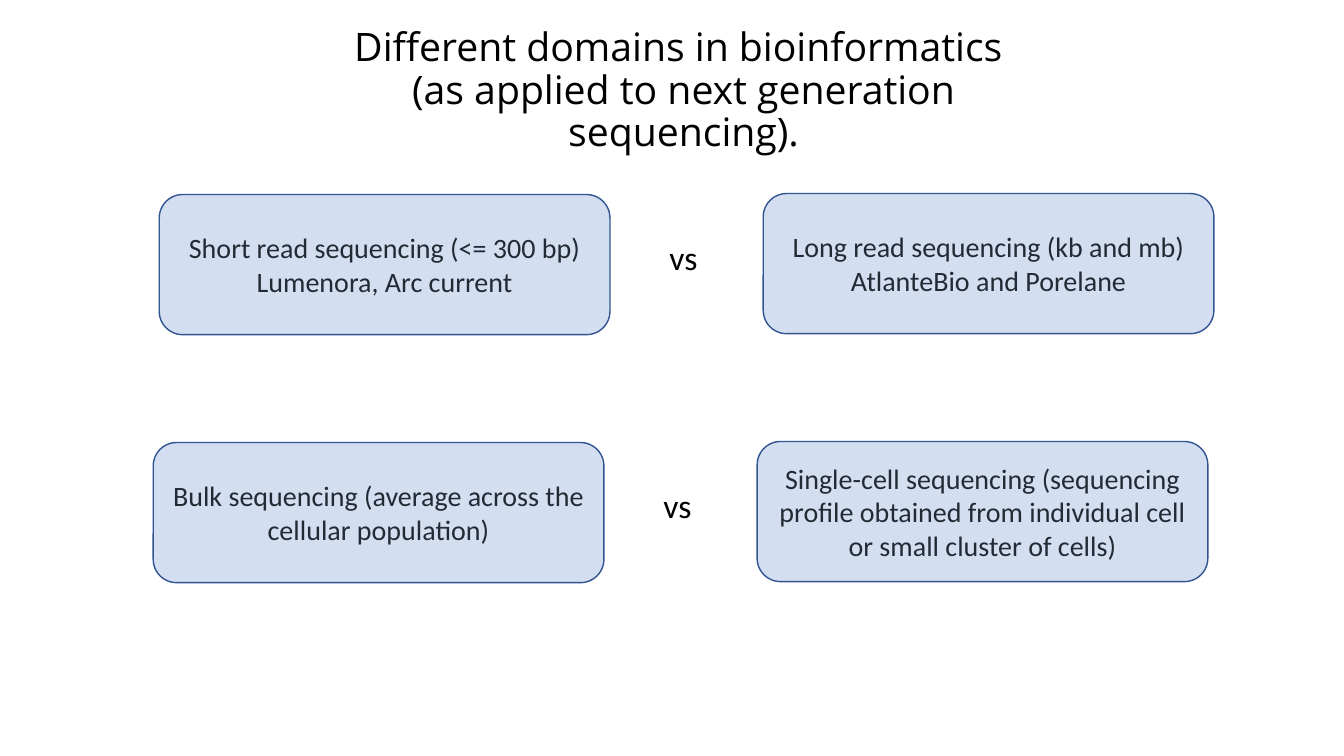
"""Build a slide that contrasts pairs of sequencing approaches."""
from dataclasses import dataclass

from lxml import etree
from pptx import Presentation
from pptx.dml.color import RGBColor
from pptx.enum.shapes import MSO_SHAPE
from pptx.enum.text import MSO_ANCHOR, MSO_AUTO_SIZE, PP_ALIGN
from pptx.oxml.ns import qn
from pptx.slide import Slide
from pptx.text.text import TextFrame
from pptx.util import Inches, Pt

ROUND = MSO_SHAPE.ROUNDED_RECTANGLE
MIDDLE = MSO_ANCHOR.MIDDLE
GROW = MSO_AUTO_SIZE.SHAPE_TO_FIT_TEXT
LEFT, CENTER = PP_ALIGN.LEFT, PP_ALIGN.CENTER

BLACK = RGBColor(0x00, 0x00, 0x00)
SLATE = RGBColor(0x22, 0x2A, 0x35)
BLUE = RGBColor(0x44, 0x72, 0xC4)
NAVY = RGBColor(0x32, 0x54, 0x91)


@dataclass(frozen=True)
class Style:
    font: str
    size: int
    color: RGBColor
    align: PP_ALIGN
    pitch: float = 1.0


@dataclass(frozen=True)
class Pair:
    left: float
    top: float
    first: tuple[str, ...]
    second: tuple[str, ...]


TITLE = Style("Open Sans", 28, BLACK, CENTER, 0.9)
BODY = Style("Calibri", 20, SLATE, CENTER)
VERSUS = Style("Calibri", 24, BLACK, LEFT)

HEADING = (
    "Different domains in bioinformatics ",
    "(as applied to next generation sequencing).",
)
PAIRS = (
    Pair(
        1.58, 1.93,
        ("Short read sequencing (<= 300 bp)", "Lumenora, Arc current"),
        ("Long read sequencing (kb and mb)", "AtlanteBio and Porelane"),
    ),
    Pair(
        1.52, 4.39,
        ("Bulk sequencing (average across the cellular population)",),
        ("Single-cell sequencing (sequencing profile obtained from "
         "individual cell or small cluster of cells)",),
    ),
)


def write(frame: TextFrame, lines: tuple[str, ...], style: Style) -> None:
    """Fill a text frame with one styled paragraph per line."""
    for i, line in enumerate(lines):
        para = frame.add_paragraph() if i else frame.paragraphs[0]
        para.alignment = style.align
        if style.pitch != 1:
            para.line_spacing = style.pitch
        run = para.add_run()
        run.text = line
        run.font.name = style.font
        run.font.size = Pt(style.size)
        run.font.color.rgb = style.color


def label(slide: Slide, left: float, top: float, width: float, height: float,
          lines: tuple[str, ...], style: Style, wrap: bool) -> None:
    """Add a plain text box."""
    box = slide.shapes.add_textbox(
        Inches(left), Inches(top), Inches(width), Inches(height))
    frame = box.text_frame
    frame.word_wrap = wrap
    frame.auto_size = GROW
    write(frame, lines, style)


def card(slide: Slide, left: float, top: float, lines: tuple[str, ...]) -> None:
    """Add a rounded card with a pale blue fill."""
    shape = slide.shapes.add_shape(
        ROUND, Inches(left), Inches(top), Inches(4.47), Inches(1.39))
    shape.shadow.inherit = False
    shape.fill.solid()
    shape.fill.fore_color.rgb = BLUE
    tint = shape.fill._xPr.find(qn("a:solidFill"))[0]
    etree.SubElement(tint, qn("a:alpha"), val="23000")
    shape.line.color.rgb = NAVY
    shape.line.width = Pt(1)
    frame = shape.text_frame
    frame.word_wrap = True
    frame.vertical_anchor = MIDDLE
    write(frame, lines, BODY)


def main() -> None:
    """Draw the heading and both pairs, then save."""
    deck = Presentation()
    deck.slide_width, deck.slide_height = Inches(13.33), Inches(7.5)
    slide = deck.slides.add_slide(deck.slide_layouts[6])
    label(slide, 3.23, 0.23, 7.1, 1.04, HEADING, TITLE, True)
    for pair in PAIRS:
        card(slide, pair.left, pair.top, pair.first)
        card(slide, pair.left + 5.99, pair.top - 0.01, pair.second)
        label(slide, pair.left + 4.96, pair.top + 0.37, 0.48, 0.5,
              ("vs",), VERSUS, False)
    deck.save("out.pptx")


if __name__ == "__main__":
    main()
